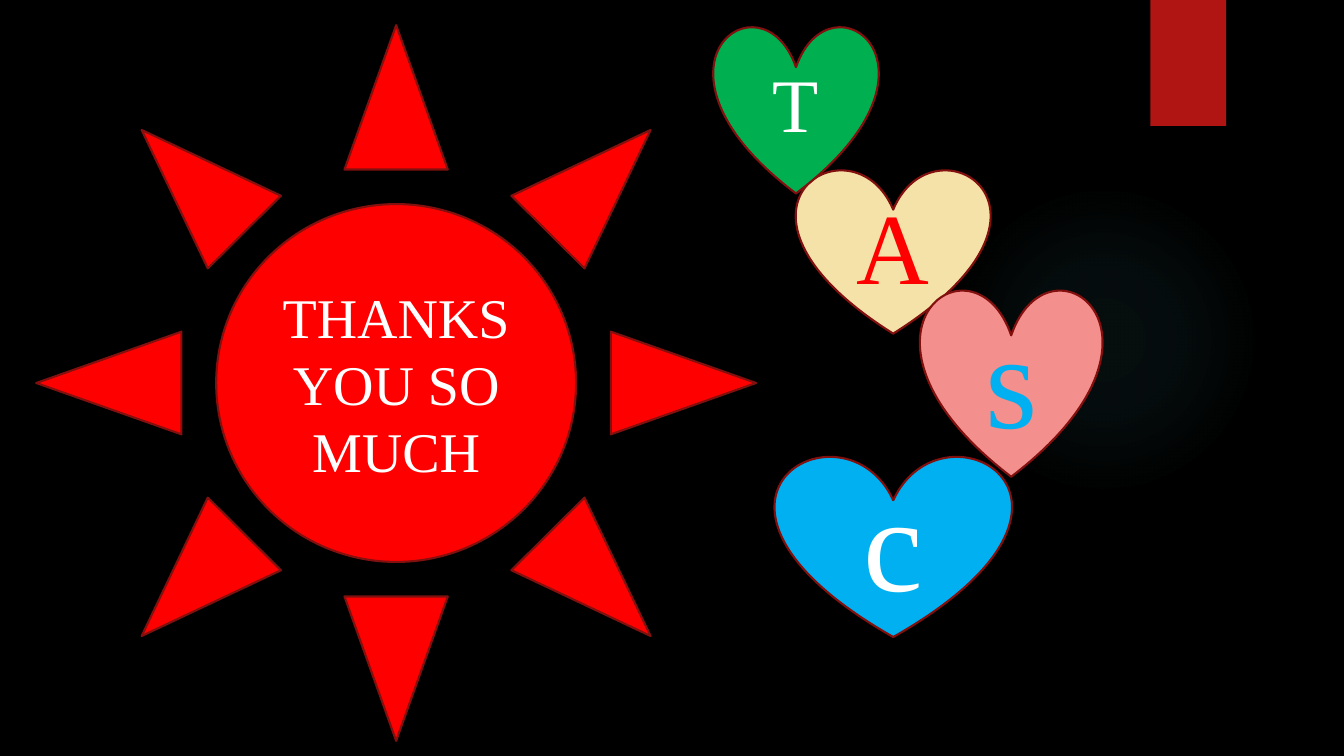
import pptx
import pptx.dml.color
import pptx.enum.shapes
import pptx.enum.text
import pptx.oxml
import pptx.oxml.ns
import pptx.util

WIDTH, HEIGHT = 13.33, 7.5
FONT = "Times New Roman"
SHAPE = pptx.enum.shapes.MSO_SHAPE
COLORS = {
    "black": "000000",
    "white": "FFFFFF",
    "red": "FF0000",
    "ribbon": "B01513",
    "outline": "82100E",
    "green": "00B050",
    "cream": "F5E2A9",
    "pink": "F38F8D",
    "blue": "00B0F0",
    "glow": "50B9C1",
}
GLOW_STOPS = [(0, 7), (36, 6), (69, 0)]
HEARTS = [
    ((59.26, 22.27, 14.4, 21.87), "cream", "A", 72, "red"),
    ((57.69, 60.13, 17.55, 24.13), "blue", "c", 96, "white"),
    ((68.49, 38.13, 13.5, 24.93), "pink", "s", 96, "blue"),
]


def rgb(name):
    return pptx.dml.color.RGBColor.from_string(COLORS[name])


def add_shape(s, kind, box, fill):
    left, top, width, height = box
    sp = s.shapes.add_shape(
        kind,
        pptx.util.Inches(WIDTH * left / 100),
        pptx.util.Inches(HEIGHT * top / 100),
        pptx.util.Inches(WIDTH * width / 100),
        pptx.util.Inches(HEIGHT * height / 100),
    )
    sp.shadow.inherit = False
    sp.fill.solid()
    sp.fill.fore_color.rgb = rgb(fill)
    sp.line.fill.background()
    return sp


def add_glow(s, box):
    sp = add_shape(s, SHAPE.OVAL, box, "glow")
    stops = "".join(
        f'<a:gs pos="{pos * 1000}"><a:srgbClr val="{COLORS["glow"]}">'
        f'<a:alpha val="{alpha * 1000}"/></a:srgbClr></a:gs>'
        for pos, alpha in GLOW_STOPS
    )
    gradient = pptx.oxml.parse_xml(
        f'<a:gradFill {pptx.oxml.ns.nsdecls("a")}><a:gsLst>{stops}</a:gsLst>'
        '<a:path path="circle"><a:fillToRect l="50000" t="50000" r="50000" b="50000"/>'
        "</a:path></a:gradFill>"
    )
    spPr = sp.element.spPr
    spPr.replace(spPr.find(pptx.oxml.ns.qn("a:solidFill")), gradient)


def add_lettered(s, kind, box, fill, text, size, color):
    sp = add_shape(s, kind, box, fill)
    sp.line.color.rgb = rgb("outline")
    sp.line.width = pptx.util.Pt(1.5)
    tf = sp.text_frame
    tf.word_wrap = True
    tf.vertical_anchor = pptx.enum.text.MSO_ANCHOR.MIDDLE
    p = tf.paragraphs[0]
    p.alignment = pptx.enum.text.PP_ALIGN.CENTER
    r = p.add_run()
    r.text = text
    r.font.name = FONT
    r.font.size = pptx.util.Pt(size)
    r.font.color.rgb = rgb(color)


def main():
    prs = pptx.Presentation()
    prs.slide_width = pptx.util.Inches(WIDTH)
    prs.slide_height = pptx.util.Inches(HEIGHT)
    s = prs.slides.add_slide(prs.slide_layouts[6])
    s.background.fill.solid()
    s.background.fill.fore_color.rgb = rgb("black")

    add_glow(s, (70.59, 24.4, 23.1, 41.07))
    add_shape(s, SHAPE.RECTANGLE, (85.6, 0, 5.63, 16.67), "ribbon")
    for heart in HEARTS:
        add_lettered(s, SHAPE.HEART, *heart)
    add_lettered(s, SHAPE.SUN, (2.7, 3.33, 53.56, 94.67), "red",
                 "THANKS YOU SO MUCH", 40, "white")
    add_lettered(s, SHAPE.HEART, (53.11, 3.33, 12.23, 22.27), "green", "T", 54, "white")
    prs.save("out.pptx")


if __name__ == "__main__":
    main()
